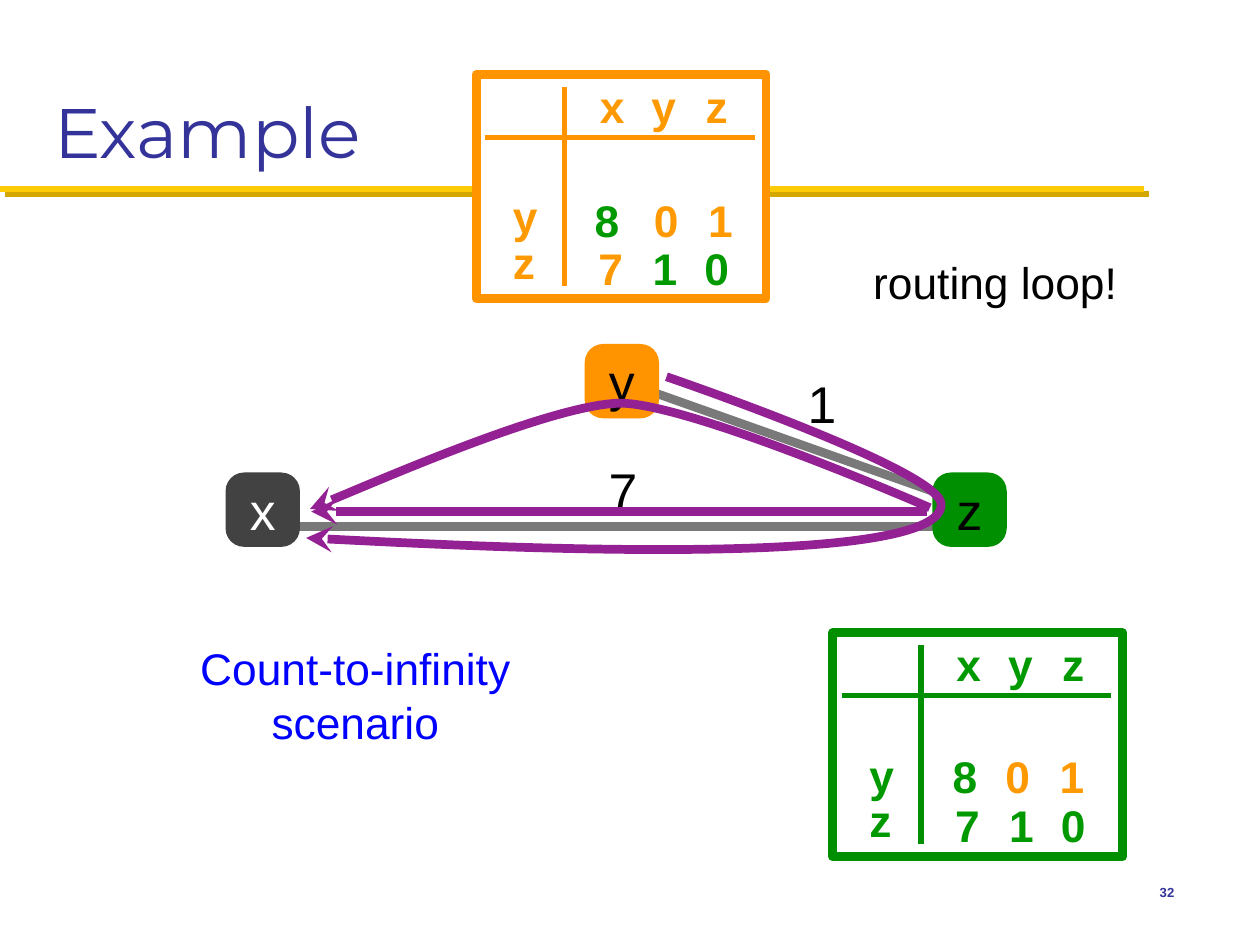
"""Builds the count-to-infinity routing example slide."""
from lxml.etree import SubElement
from pptx import Presentation
from pptx.dml.color import RGBColor
from pptx.enum.shapes import MSO_CONNECTOR, MSO_SHAPE
from pptx.enum.text import MSO_ANCHOR, PP_ALIGN
from pptx.oxml.ns import qn
from pptx.util import Inches, Pt

BLACK = RGBColor(0x00, 0x00, 0x00)
WHITE = RGBColor(0xFF, 0xFF, 0xFF)
INDIGO = RGBColor(0x33, 0x33, 0x99)
BLUE = RGBColor(0x00, 0x00, 0xFF)
GRAY = RGBColor(0x79, 0x79, 0x79)
CHARCOAL = RGBColor(0x42, 0x42, 0x42)
PURPLE = RGBColor(0x94, 0x21, 0x93)
YELLOW = RGBColor(0xFF, 0xCB, 0x05)
DARK_YELLOW = RGBColor(0xD3, 0xA6, 0x00)
ORANGE = RGBColor(0xFF, 0x93, 0x00)
GREEN = RGBColor(0x00, 0x8F, 0x00)
ORANGE_TEXT = RGBColor(0xFF, 0x99, 0x00)
GREEN_TEXT = RGBColor(0x00, 0x99, 0x00)


def write(sp, text, size=25.3, color=BLACK, font="Arial", bold=False,
          align=PP_ALIGN.LEFT, anchor=MSO_ANCHOR.MIDDLE, inset=(0.04, 0.04), wrap=True):
    """Put formatted text into a shape."""
    tf = sp.text_frame
    tf.word_wrap = wrap
    tf.vertical_anchor = anchor
    tf.margin_left = tf.margin_right = Inches(inset[0])
    tf.margin_top = tf.margin_bottom = Inches(inset[1])
    p = tf.paragraphs[0]
    p.alignment = align
    r = p.add_run()
    r.text = text
    r.font.name, r.font.size, r.font.bold = font, Pt(size), bold
    r.font.color.rgb = color


class Board:
    """Draws on one slide, on a grid of 100 columns by 75 rows."""

    def __init__(self, prs):
        self.s = prs.slides.add_slide(prs.slide_layouts[5])
        self.col = prs.slide_width / 100
        self.row = prs.slide_height / 75

    def grid(self, *cells):
        return [round(n * (self.row if i % 2 else self.col)) for i, n in enumerate(cells)]

    def title(self, text, *box):
        sp = self.s.shapes.title
        sp.left, sp.top, sp.width, sp.height = self.grid(*box)
        write(sp, text, size=40, color=INDIGO, font="Montserrat",
              anchor=MSO_ANCHOR.BOTTOM, inset=(0.1, 0.05))

    def text(self, text, *box, **style):
        write(self.s.shapes.add_textbox(*self.grid(*box)), text, **style)

    def stroke(self, sp, color, width, arrow=False):
        sp.line.color.rgb = color
        sp.line.width = Pt(width)
        if arrow:
            SubElement(sp.line._get_or_add_ln(), qn("a:tailEnd"), type="stealth")

    def line(self, start, end, color, width=5, arrow=False, shadow=None):
        sp = self.s.shapes.add_connector(MSO_CONNECTOR.STRAIGHT, *self.grid(*start, *end))
        self.stroke(sp, color, width, arrow)
        effects = SubElement(sp._element.spPr, qn("a:effectLst"))
        if shadow:
            cast = SubElement(effects, qn("a:outerShdw"), blurRad="0",
                              dist=str(Pt(4.2)), dir=str(45 * 60000))
            SubElement(cast, qn("a:srgbClr"), val=str(shadow))

    def curve(self, start, *controls):
        fb = self.s.shapes.build_freeform(*self.grid(*start))
        fb.add_line_segments([self.grid(*c) for c in controls], close=False)
        sp = fb.convert_to_shape()
        sp.shadow.inherit = False
        sp.fill.background()
        self.stroke(sp, PURPLE, 5, arrow=True)
        outline = next(sp._element.iter(qn("a:path")))
        legs = outline.findall(qn("a:lnTo"))
        for i in range(0, len(legs), 3):
            bezier = SubElement(outline, qn("a:cubicBezTo"))
            for leg in legs[i:i + 3]:
                bezier.append(leg[0])
                outline.remove(leg)

    def frame(self, box, color, fill):
        sp = self.s.shapes.add_shape(MSO_SHAPE.RECTANGLE, *self.grid(*box))
        sp.shadow.inherit = False
        if fill:
            sp.fill.solid()
            sp.fill.fore_color.rgb = fill
        else:
            sp.fill.background()
        self.stroke(sp, color, 5)

    def node(self, name, x, y, fill, color=BLACK):
        sp = self.s.shapes.add_shape(MSO_SHAPE.ROUNDED_RECTANGLE, *self.grid(x, y, 5.9, 5.9))
        sp.adjustments[0] = 0.25
        sp.shadow.inherit = False
        sp.fill.solid()
        sp.fill.fore_color.rgb = fill
        sp.line.fill.background()
        write(sp, name, size=29.5, color=color, align=PP_ALIGN.CENTER, inset=(0, 0))

    def distances(self, x, y, color, ink, rows, fill=None):
        self.frame((x, y, 23, 17.8), color, fill)
        self.line((x + 0.7, y + 5), (x + 22.1, y + 5), color, 3)
        self.line((x + 7, y + 16.8), (x + 7, y + 1), color, 3)
        for name, dx in zip("xyz", (9.4, 13.5, 17.8)):
            self.text(name, x + dx, y + 0.2, 2.9, 4.6, color=ink, bold=True)
        for name, dy in zip("yz", (8.7, 12.3)):
            self.text(name, x + 2.5, y + dy, 2.6, 5.1, color=ink, bold=True)
        for dy, cells in rows:
            for digit, dx, shade in cells:
                self.text(digit, x + dx, y + dy, 2, 5.1, color=shade, bold=True)


prs = Presentation()
prs.slide_width, prs.slide_height = Inches(10), Inches(7.5)
board = Board(prs)

board.line((0, 15), (90.8, 15), YELLOW, 3.5, shadow=DARK_YELLOW)
board.title("Example", 3.3, 1.7, 93.3, 12.5)

board.line((23, 41.8), (76.3, 41.8), GRAY)
board.line((50.9, 30.8), (76.3, 39.8), GRAY)
board.node("x", 17.9, 37.5, CHARCOAL, WHITE)
board.node("z", 74, 37.5, GREEN)
board.node("y", 46.4, 27.3, ORANGE)
for cost, x, y in (("7", 47.9, 36), ("1", 63.7, 29.1)):
    board.text(cost, x, y, 2.9, 5.8, size=29.5)

board.distances(37.8, 5.9, ORANGE, ORANGE_TEXT, fill=WHITE, rows=(
    (9, (("8", 9, GREEN_TEXT), ("0", 13.7, ORANGE_TEXT), ("1", 18, ORANGE_TEXT))),
    (12.8, (("7", 9.3, ORANGE_TEXT), ("1", 13.6, GREEN_TEXT), ("0", 17.7, GREEN_TEXT)))))
board.distances(66.1, 50.2, GREEN, GREEN_TEXT, rows=(
    (8.8, (("8", 9.1, GREEN_TEXT), ("0", 13.3, ORANGE_TEXT), ("1", 17.6, ORANGE_TEXT))),
    (12.7, (("7", 9.3, GREEN_TEXT), ("1", 13.6, GREEN_TEXT), ("0", 17.7, GREEN_TEXT)))))

board.text("routing loop!", 68.9, 19.9, 23.5, 5)
board.line((73.6, 40.6), (24.7, 40.6), PURPLE, arrow=True)
board.curve((73.8, 40.3), (73.8, 40.3), (54.8, 32), (49.2, 32),
            (44, 32.1), (24.6, 40.4), (24.6, 40.4))
board.curve((52.9, 29.9), (52.9, 29.9), (74.6, 37.3), (74.7, 40),
            (75, 45.5), (24.3, 42.7), (24.3, 42.7))
board.text("Count-to-infinity scenario", 9.2, 50.5, 38, 9.3, color=BLUE, align=PP_ALIGN.CENTER)
board.text("32", 87.5, 68.3, 6.7, 5, size=7.5, color=INDIGO, bold=True,
           align=PP_ALIGN.RIGHT, inset=(0.1, 0.05), wrap=False)

prs.save("out.pptx")
